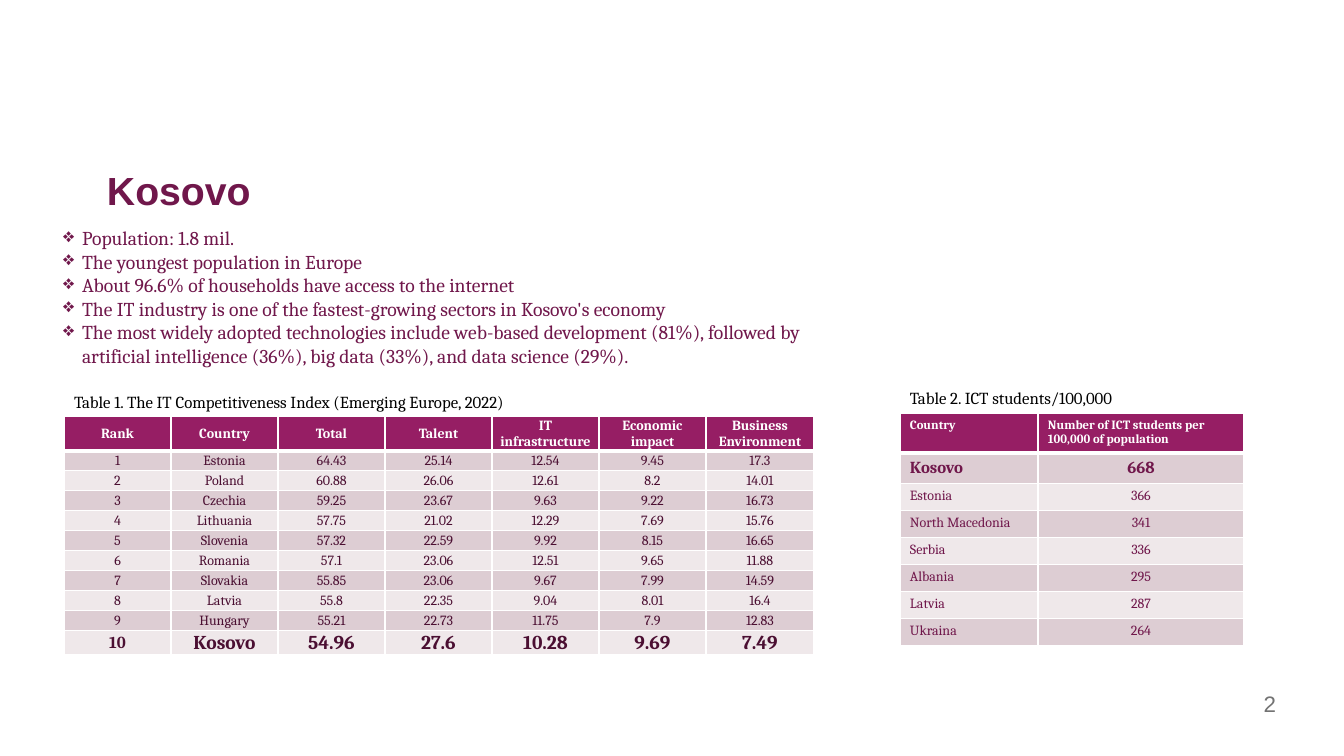
from dataclasses import dataclass

from lxml.etree import SubElement
from pptx import Presentation
from pptx.dml.color import RGBColor
from pptx.enum.text import MSO_ANCHOR, MSO_AUTO_SIZE, PP_ALIGN
from pptx.oxml.ns import qn
from pptx.util import Pt

EMU_PER_PX = 12192000 / 1344


@dataclass(frozen=True)
class Theme:
    """Colours, fonts and type sizes of the slide."""
    plum: str = "70174B"
    dark_plum: str = "4B0F32"
    header: str = "961E64"
    bands: tuple = ("DDCDD3", "EFE8EA")
    white: str = "FFFFFF"
    black: str = "000000"
    grey: str = "737373"
    sans: str = "Arial"
    serif: str = "Cambria"
    title: int = 28
    number: int = 16
    body: int = 14
    caption: int = 12
    cell: int = 10
    small: int = 9


THEME = Theme()

FACTS = [
    "Population: 1.8 mil.",
    "The youngest population in Europe",
    "About 96.6% of households have access to the internet",
    "The IT industry is one of the fastest-growing sectors in Kosovo's economy",
    "The most widely adopted technologies include web-based development (81%), followed by "
    "artificial intelligence (36%), big data (33%), and data science (29%).",
]

COMPETITIVENESS = [
    ("Rank", "Country", "Total", "Talent", "IT infrastructure", "Economic impact",
     "Business Environment"),
    ("1", "Estonia", "64.43", "25.14", "12.54", "9.45", "17.3"),
    ("2", "Poland", "60.88", "26.06", "12.61", "8.2", "14.01"),
    ("3", "Czechia", "59.25", "23.67", "9.63", "9.22", "16.73"),
    ("4", "Lithuania", "57.75", "21.02", "12.29", "7.69", "15.76"),
    ("5", "Slovenia", "57.32", "22.59", "9.92", "8.15", "16.65"),
    ("6", "Romania", "57.1", "23.06", "12.51", "9.65", "11.88"),
    ("7", "Slovakia", "55.85", "23.06", "9.67", "7.99", "14.59"),
    ("8", "Latvia", "55.8", "22.35", "9.04", "8.01", "16.4"),
    ("9", "Hungary", "55.21", "22.73", "11.75", "7.9", "12.83"),
    ("10", "Kosovo", "54.96", "27.6", "10.28", "9.69", "7.49"),
]

STUDENTS = [
    ("Country", "Number of ICT students per 100,000 of population"),
    ("Kosovo", "668"),
    ("Estonia", "366"),
    ("North Macedonia", "341"),
    ("Serbia", "336"),
    ("Albania", "295"),
    ("Latvia", "287"),
    ("Ukraina", "264"),
]


def px(length):
    """Turn pixels into EMU."""
    return round(length * EMU_PER_PX)


def set_margins(holder, margins):
    """Set left, top, right and bottom insets of a text frame or cell."""
    (holder.margin_left, holder.margin_top,
     holder.margin_right, holder.margin_bottom) = map(px, margins)


def add_run(paragraph, text, size, color, font=THEME.serif, bold=False):
    """Append one formatted run."""
    run = paragraph.add_run()
    run.text = text
    run.font.name = font
    run.font.size = Pt(size)
    run.font.bold = bold
    run.font.color.rgb = RGBColor.from_string(color)


def add_text_frame(slide, box, margins=(10, 5, 10, 5)):
    """Add a wrapping text box and return its frame."""
    frame = slide.shapes.add_textbox(*map(px, box)).text_frame
    frame.word_wrap = True
    set_margins(frame, margins)
    return frame


def place_title(slide, box, text):
    """Move and format the title placeholder."""
    title = slide.shapes.title
    title.left, title.top, title.width, title.height = map(px, box)
    frame = title.text_frame
    frame.auto_size = MSO_AUTO_SIZE.NONE
    frame.vertical_anchor = MSO_ANCHOR.TOP
    set_margins(frame, (10, 5, 10, 5))
    heading = frame.paragraphs[0]
    heading.alignment = PP_ALIGN.LEFT
    heading.line_spacing = 0.9
    add_run(heading, text, THEME.title, THEME.plum, THEME.sans, True)


def add_facts(slide, box, facts):
    """Add the bulleted facts with a hanging indent."""
    frame = add_text_frame(slide, box, (0, 1, 0, 0))
    for index, fact in enumerate(facts):
        paragraph = frame.add_paragraph() if index else frame.paragraphs[0]
        properties = paragraph._p.get_or_add_pPr()
        properties.set("marL", str(px(19)))
        properties.set("indent", str(-px(19)))
        SubElement(properties, qn("a:buChar")).set("char", "❖")
        add_run(paragraph, fact, THEME.body, THEME.plum)


def add_caption(slide, box, text):
    """Add a table caption."""
    add_run(add_text_frame(slide, box).paragraphs[0], text, THEME.caption, THEME.black)


def add_page_number(slide, box, number):
    """Add the right-aligned page number."""
    frame = add_text_frame(slide, box)
    frame.vertical_anchor = MSO_ANCHOR.MIDDLE
    frame.paragraphs[0].alignment = PP_ALIGN.RIGHT
    add_run(frame.paragraphs[0], number, THEME.number, THEME.grey, THEME.sans)


def set_borders(cell, bottom):
    """Draw white cell borders with the given bottom width in points."""
    properties = cell._tc.get_or_add_tcPr()
    for side, width in (("L", 1), ("R", 1), ("T", 1), ("B", bottom)):
        line = SubElement(properties, qn(f"a:ln{side}"), w=str(Pt(width)))
        fill = SubElement(line, qn("a:solidFill"))
        SubElement(fill, qn("a:srgbClr"), val=THEME.white)


def add_data_table(slide, origin, widths, heights, rows, margins, anchor, cell_style):
    """Add a banded table; cell_style gives size, colour, bold and alignment."""
    box = (*origin, sum(widths), sum(heights))
    table = slide.shapes.add_table(len(rows), len(widths), *map(px, box)).table
    for column, width in zip(table.columns, widths):
        column.width = px(width)
    for r, (row, height) in enumerate(zip(rows, heights)):
        table.rows[r].height = px(height)
        for c, text in enumerate(row):
            cell = table.cell(r, c)
            set_margins(cell, margins)
            cell.vertical_anchor = anchor
            set_borders(cell, 1 if r else 3)
            cell.fill.solid()
            cell.fill.fore_color.rgb = RGBColor.from_string(
                THEME.bands[(r - 1) % 2] if r else THEME.header)
            size, color, bold, alignment = cell_style(r, c)
            paragraph = cell.text_frame.paragraphs[0]
            paragraph.alignment = alignment
            add_run(paragraph, text, size, color, bold=bold)


def competitiveness_style(r, c):
    """Style the index table, with Kosovo's last row emphasised."""
    kosovo = r == len(COMPETITIVENESS) - 1
    size = (THEME.body if c else THEME.caption) if kosovo else THEME.cell
    return size, THEME.dark_plum if r else THEME.white, kosovo or r == 0, PP_ALIGN.CENTER


def students_style(r, c):
    """Style the student table, with Kosovo's first row emphasised."""
    size = {0: THEME.small, 1: THEME.caption}.get(r, THEME.cell)
    alignment = PP_ALIGN.CENTER if r and c else PP_ALIGN.LEFT
    return size, THEME.plum if r else THEME.white, r < 2, alignment


def main():
    """Build and save the Kosovo slide."""
    deck = Presentation()
    deck.slide_width, deck.slide_height = px(1344), px(756)
    slide = deck.slides.add_slide(deck.slide_layouts[5])
    add_page_number(slide, (1038, 685, 248, 37), "2")
    place_title(slide, (97, 167, 918, 65), "Kosovo")
    add_facts(slide, (63, 225, 752, 166), FACTS)
    add_data_table(slide, (64, 416), [107] * 6 + [108], [34] + [20] * 9 + [24],
                   COMPETITIVENESS, (1, 1, 1, 0), MSO_ANCHOR.MIDDLE, competitiveness_style)
    add_caption(slide, (64, 387, 683, 30),
                "Table 1. The IT Competitiveness Index (Emerging Europe, 2022)")
    add_data_table(slide, (900, 413), [138, 206], [40, 30] + [27] * 6,
                   STUDENTS, (10, 5, 10, 5), MSO_ANCHOR.TOP, students_style)
    add_caption(slide, (900, 383, 300, 30), "Table 2. ICT students/100,000")
    deck.save("out.pptx")


if __name__ == "__main__":
    main()
